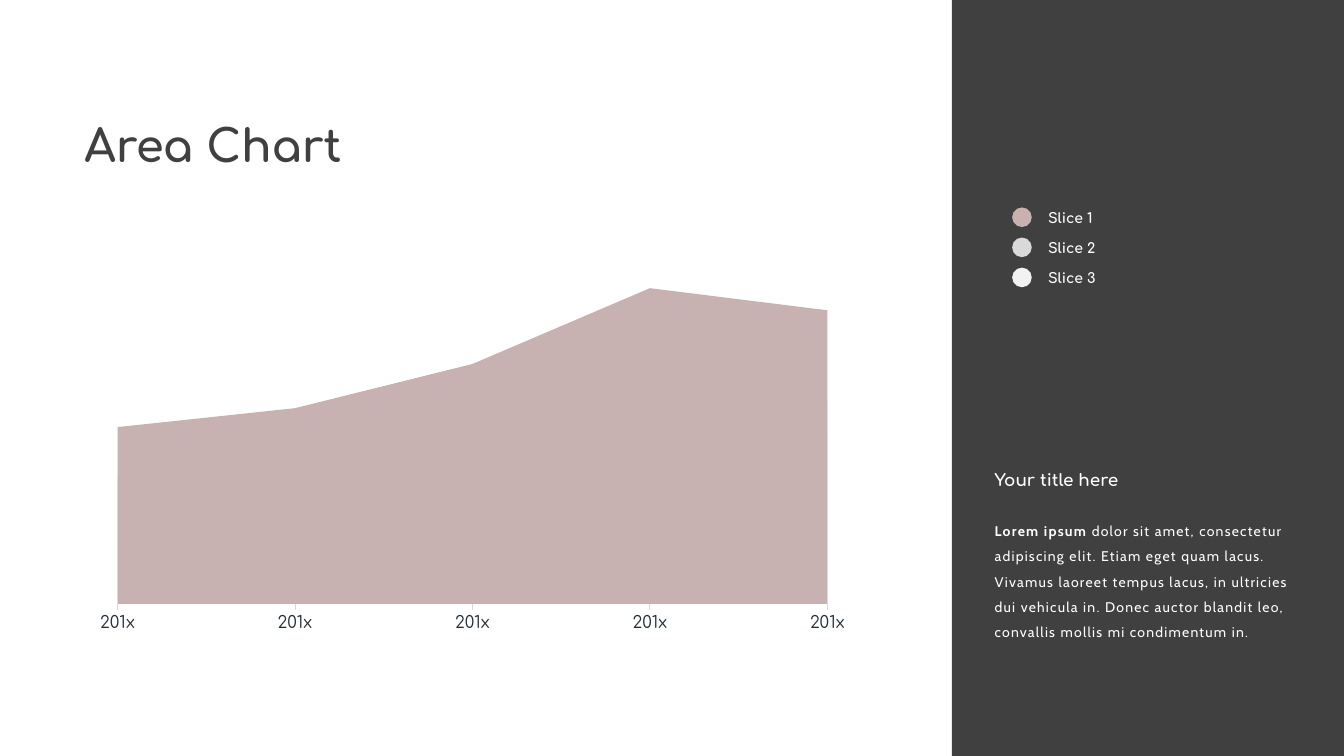
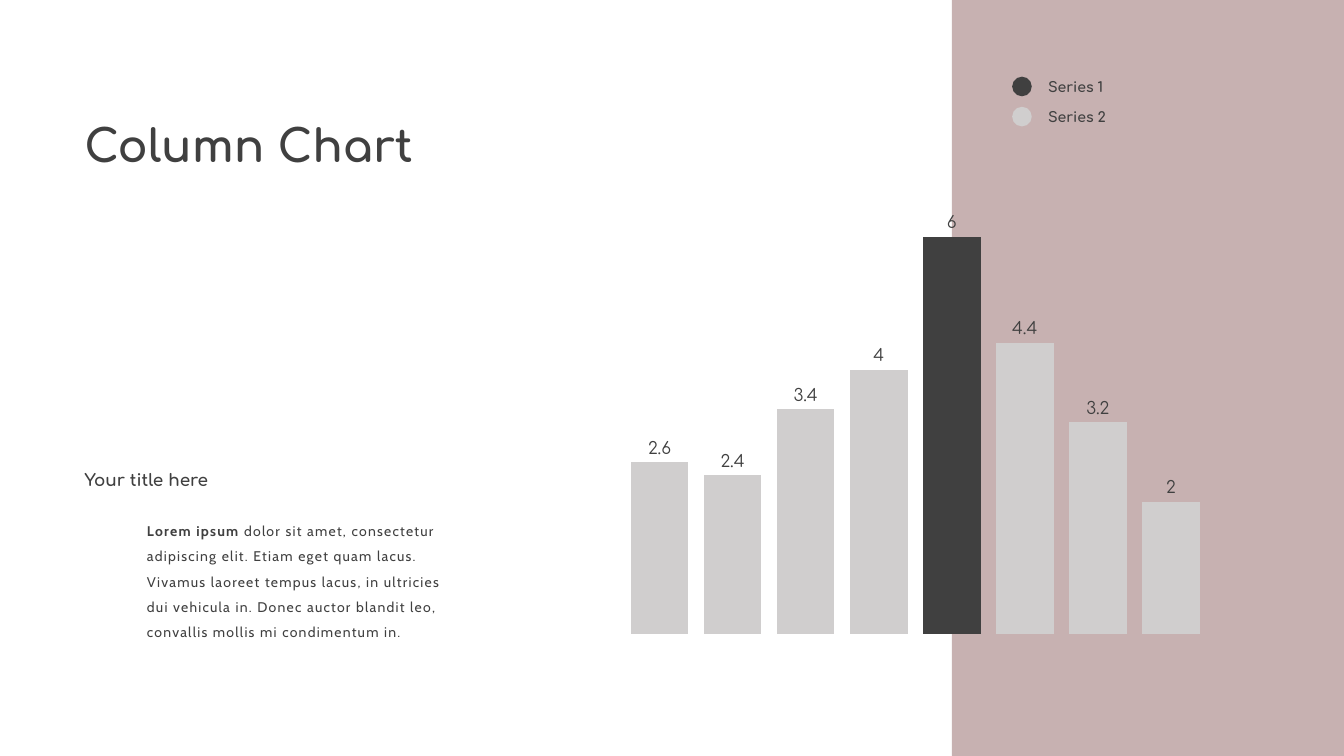
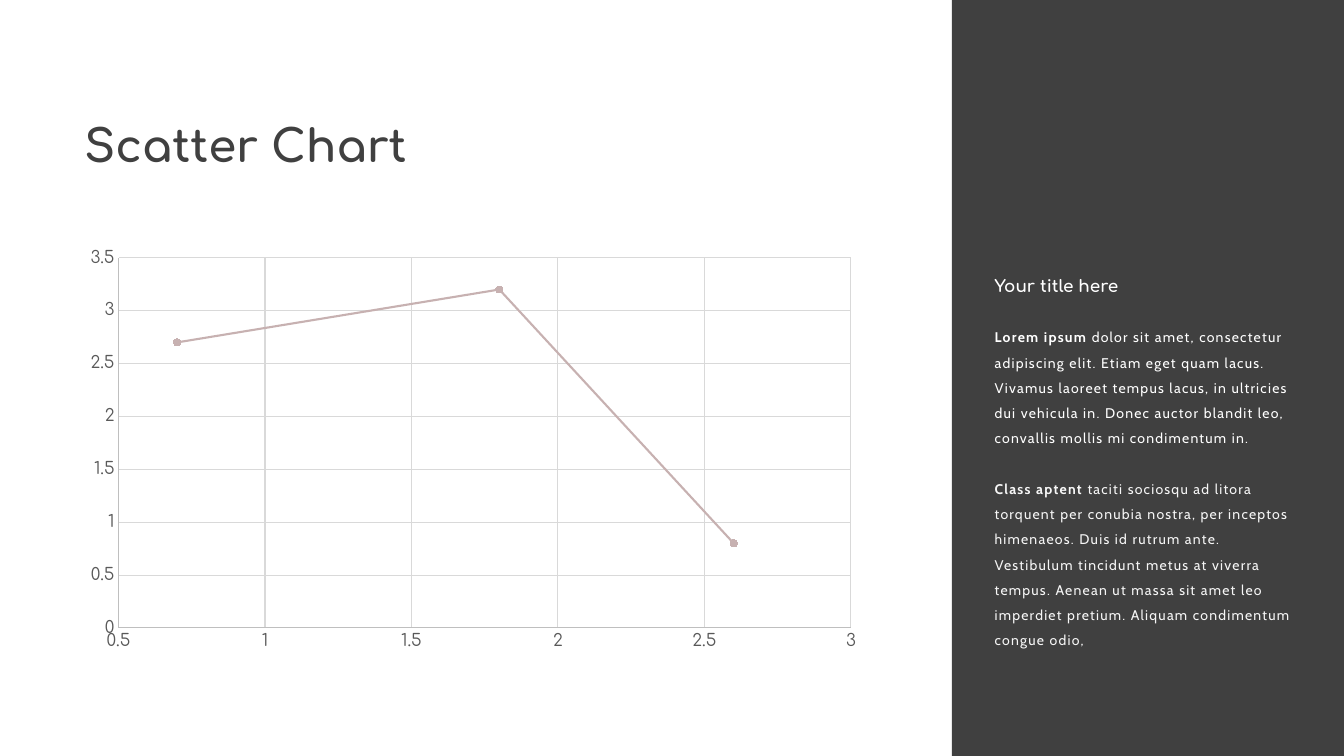
from pptx import Presentation
from pptx.chart.data import CategoryChartData as CatData, XyChartData as XyData
from pptx.dml.color import RGBColor as Rgb
from pptx.enum.chart import (XL_CHART_TYPE as Kind, XL_LABEL_POSITION as Pos,
                             XL_MARKER_STYLE as Mark, XL_TICK_MARK as Tick)
from pptx.enum.shapes import MSO_SHAPE as Form
from pptx.enum.text import MSO_AUTO_SIZE as Auto
from pptx.oxml import parse_xml
from pptx.oxml.ns import nsdecls
from pptx.util import Pt

# Shared look
HUES = {"dark": "404040", "rose": "C7B1B1", "white": "FFFFFF", "mist": "F6F6F6",
        "pale": "F2F2F2", "grid": "D9D9D9", "bar": "D0CECE", "rule": "BFBFBF",
        "navy": "242F3A", "tick": "595959"}
HEAD, BODY = "Comfortaa", "Cabin"
LEFT, SIDE = 53.3, 703.4

# Each paragraph is a bold lead and a plain rest
LOREM = ("Lorem ipsum ",
         "dolor sit amet, consectetur adipiscing elit. Etiam eget quam lacus. "
         "Vivamus laoreet tempus lacus, in ultricies dui vehicula in. "
         "Donec auctor blandit leo, convallis mollis mi condimentum in.")
CLASS = ("Class aptent ",
         "taciti sociosqu ad litora torquent per conubia nostra, per inceptos "
         "himenaeos. Duis id rutrum ante. Vestibulum tincidunt metus at viverra "
         "tempus. Aenean ut massa sit amet leo imperdiet pretium. "
         "Aliquam condimentum congue odio,")


def rgb(hue):
    return Rgb.from_string(HUES[hue])


def pts(*sizes):
    return [Pt(size) for size in sizes]


def paint(fmt, hue):
    fmt.fill.solid()
    fmt.fill.fore_color.rgb = rgb(hue)


def draw(line, hue, width=0.75):
    line.color.rgb = rgb(hue)
    line.width = Pt(width)


def style(font, size, hue, face=HEAD, bold=False):
    font.size, font.name, font.bold = Pt(size), face, bold
    font.color.rgb = rgb(hue)


# Text and shapes
def text(slide, at, paras, size=10, hues=("dark",), face=HEAD, lead=None, track=0, gap=0):
    box = slide.shapes.add_textbox(*pts(*at))
    frame = box.text_frame
    frame.word_wrap = True
    frame.auto_size = Auto.SHAPE_TO_FIT_TEXT
    for i, (parts, hue) in enumerate(zip(paras, hues)):
        para = frame.add_paragraph() if i else frame.paragraphs[0]
        para.line_spacing = lead
        if i:
            para.space_before = Pt(gap)
        for j, part in enumerate(parts):
            run = para.add_run()
            run.text = part
            style(run.font, size, hue, face, bold=j == 0)
            if track:
                run.font._element.set("spc", str(track))


def shape(slide, form, at, hue):
    item = slide.shapes.add_shape(form, *pts(*at))
    item.shadow.inherit = False
    paint(item, hue)
    item.line.fill.background()


def panel(slide, hue):
    shape(slide, Form.RECTANGLE, (680, 0, 280, 540), hue)


def title(slide, words):
    text(slide, (LEFT, 80.6, 412.6, 46), [(words,)], size=32)


def legend(slide, top, items, hue):
    for i, (name, dot) in enumerate(items):
        y = top + i * 21.5
        shape(slide, Form.OVAL, (723, y + 2.2, 14, 14), dot)
        text(slide, (741.6, y, 100, 19.4), [(name,)], hues=[hue])


def story(slide, x, top, paras, hues, inset=0, tall=95.8):
    text(slide, (x + inset, top + 31.7, 233.3, tall), paras, hues=hues,
         face=BODY, lead=1.5, track=90, gap=18)
    text(slide, (x, top, 240, 21.6), [("Your title here",)], size=12, hues=hues)


# Charts
def graph(slide, kind, at, data, hue):
    chart = slide.shapes.add_chart(kind, *pts(*at), data).chart
    chart.has_title = chart.has_legend = False
    style(chart.font, 12, hue)
    chart.plots[0].vary_by_categories = False
    return chart


def scale(axis, low, high, step=None):
    axis.minimum_scale, axis.maximum_scale = low, high
    if step:
        axis.major_unit = step


def hide(axis):
    axis.has_major_gridlines = False
    axis.visible = False


def fix(chart, x, y, w, h):
    area = chart.element.chart.plotArea
    for old in area.xpath("c:layout"):
        area.remove(old)
    sizes = "".join(f'<c:{tag} val="{val}"/>' for tag, val in zip("xywh", (x, y, w, h)))
    area.insert(0, parse_xml(
        f'<c:layout {nsdecls("c")}><c:manualLayout><c:layoutTarget val="inner"/>'
        f'<c:xMode val="edge"/><c:yMode val="edge"/>{sizes}</c:manualLayout></c:layout>'))


def area(slide):
    data = CatData()
    data.categories = ["201x"] * 5
    rows = [(56, 62, 76, 100, 93), (40, 47, 62, 71, 64), (18, 24, 38, 51, 53)]
    for i, row in enumerate(rows, 1):
        data.add_series(f"Series {i}", row)
    chart = graph(slide, Kind.AREA, (52.6, 171.4, 571, 312.5), data, "navy")
    fix(chart, 0.055, 0.031, 0.888, 0.801)
    for ser, hue in zip(chart.plots[0].series, ("rose", "grid", "pale")):
        paint(ser.format, hue)
    hide(chart.value_axis)
    scale(chart.value_axis, 0, 111)
    for cross in chart.element.xpath(".//c:valAx/c:crossBetween"):
        cross.set("val", "midCat")
    axis = chart.category_axis
    axis.has_major_gridlines = False
    axis.major_tick_mark = Tick.OUTSIDE
    axis.minor_tick_mark = Tick.NONE
    draw(axis.format.line, "grid")
    style(axis.tick_labels.font, 12, "navy")


def bars(slide):
    data = CatData()
    data.categories = ["1"]
    vals = (2.6, 2.4, 3.4, 4, 6, 4.4, 3.2, 2)
    for i, val in enumerate(vals, 1):
        data.add_series(f"Series {i}", [val])
    chart = graph(slide, Kind.COLUMN_CLUSTERED, (395.3, 115.2, 517, 344.9), data, "dark")
    hide(chart.category_axis)
    hide(chart.value_axis)
    scale(chart.value_axis, 0, 7)
    plot = chart.plots[0]
    plot.gap_width, plot.overlap = 219, -27
    for ser, val in zip(plot.series, vals):
        paint(ser.format, "dark" if val == max(vals) else "bar")
        tags = ser.data_labels
        tags.show_value = True
        tags.position = Pos.OUTSIDE_END
        style(tags.font, 12, "dark")


def curve(slide):
    data = XyData()
    dots = data.add_series("Series 1")
    for x, y in ((0.7, 2.7), (1.8, 3.2), (2.6, 0.8)):
        dots.add_data_point(x, y)
    chart = graph(slide, Kind.XY_SCATTER_SMOOTH, (LEFT, 171.4, 569.5, 299.5), data, "tick")
    for axis, low, high in ((chart.category_axis, 0.5, 3), (chart.value_axis, 0, 3.5)):
        scale(axis, low, high, 0.5)
        axis.has_major_gridlines = True
        axis.major_tick_mark = axis.minor_tick_mark = Tick.NONE
        draw(axis.major_gridlines.format.line, "grid")
        draw(axis.format.line, "rule")
        style(axis.tick_labels.font, 12, "tick")
    ser = chart.plots[0].series[0]
    ser.smooth = True
    draw(ser.format.line, "rose", 1.5)
    ser.marker.style, ser.marker.size = Mark.CIRCLE, 5
    paint(ser.marker.format, "rose")
    draw(ser.marker.format.line, "rose")


def main():
    deck = Presentation()
    deck.slide_width, deck.slide_height = pts(960, 540)
    first, second, third = [deck.slides.add_slide(deck.slide_layouts[6]) for _ in range(3)]

    # Area chart
    area(first)
    title(first, "Area Chart")
    panel(first, "dark")
    legend(first, 146, [("Slice 1", "rose"), ("Slice 2", "grid"), ("Slice 3", "pale")], "white")
    story(first, SIDE, 332, [LOREM], ["white"])

    # Column chart
    title(second, "Column Chart")
    panel(second, "rose")
    legend(second, 52.6, [("Series 1", "dark"), ("Series 2", "bar")], "dark")
    bars(second)
    story(second, LEFT, 332, [LOREM], ["dark"], inset=44.6)

    # Scatter chart
    curve(third)
    title(third, "Scatter Chart")
    panel(third, "dark")
    story(third, SIDE, 193.7, [LOREM, CLASS], ["white", "mist"], tall=223)

    deck.save("out.pptx")


main()
